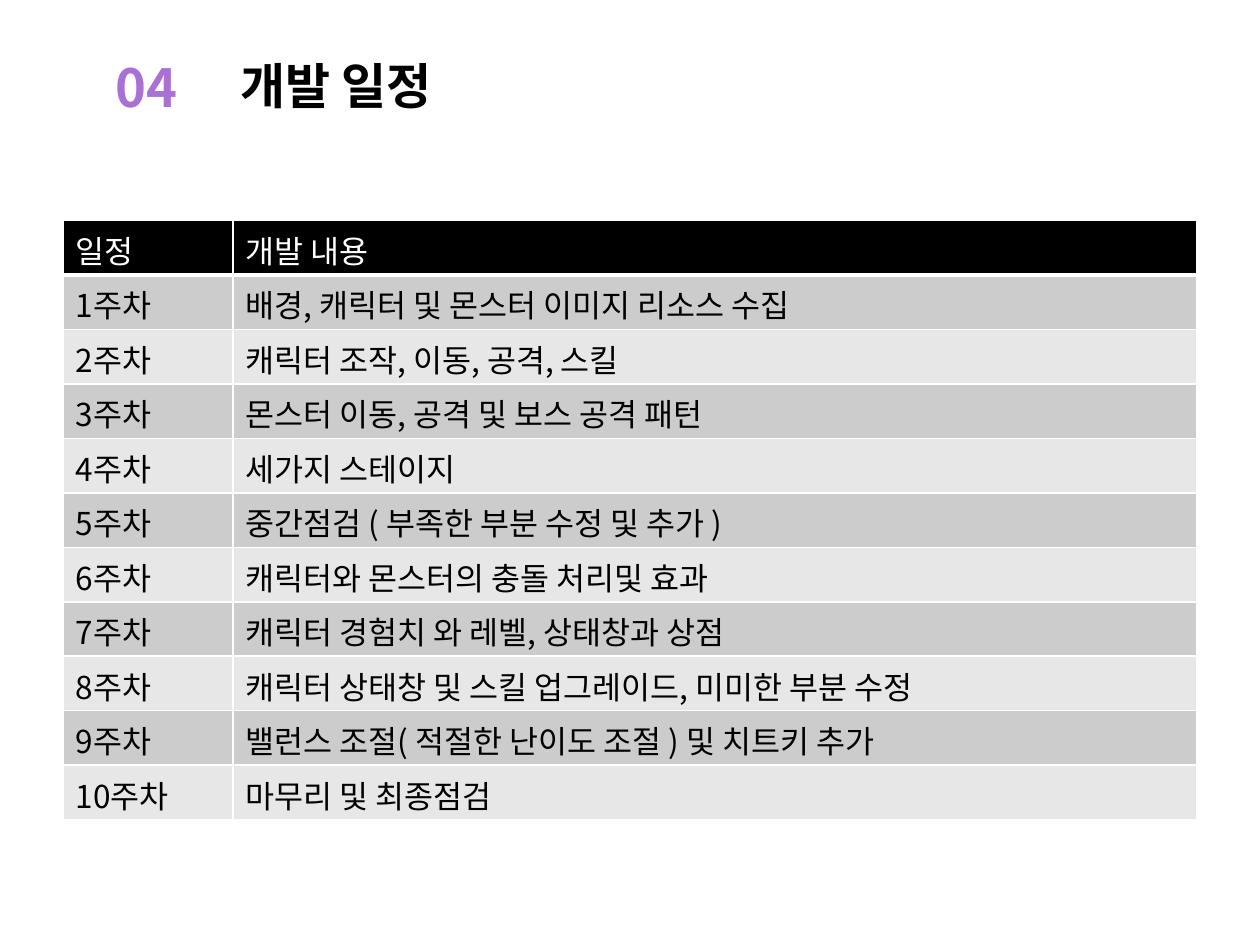
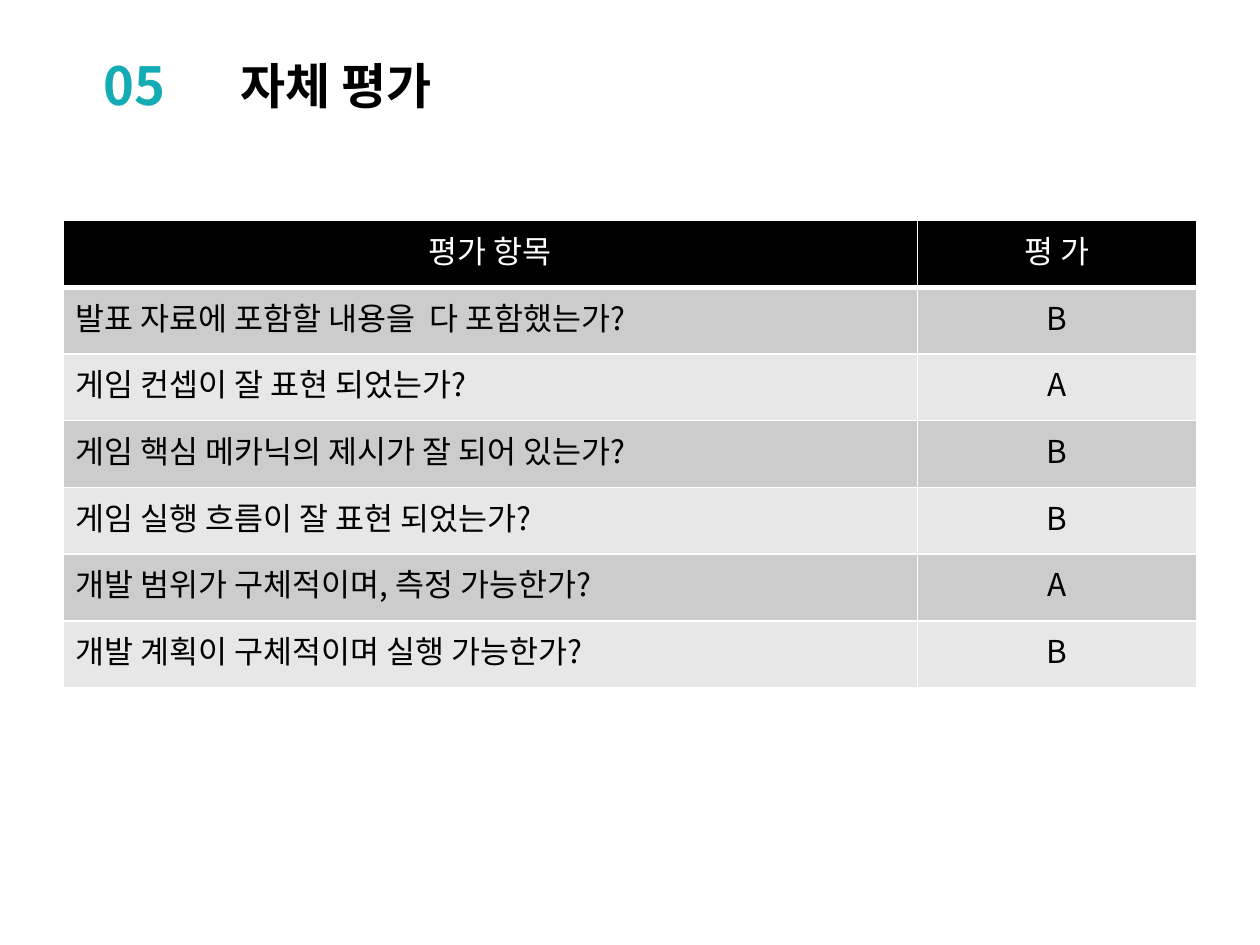
from lxml.etree import SubElement
from pptx import Presentation
from pptx.dml.color import RGBColor
from pptx.enum.text import MSO_AUTO_SIZE, PP_ALIGN
from pptx.oxml.ns import qn
from pptx.util import Pt

FONT = "Noto Sans CJK KR"
COLORS = {
    "black": "000000",
    "white": "FFFFFF",
    "dark_band": "CCCCCC",
    "light_band": "E7E7E7",
    "purple": "AA71D5",
    "teal": "14ACB4",
}
TITLE_BOX = (130.32, 28.08, 483.84, 41.04)
TABLE_LEFT, TABLE_TOP = 36, 126

SCHEDULE = [
    ("일정", "개발 내용"),
    ("1주차", "배경, 캐릭터 및 몬스터 이미지 리소스 수집"),
    ("2주차", "캐릭터 조작, 이동, 공격, 스킬"),
    ("3주차", "몬스터 이동, 공격 및 보스 공격 패턴"),
    ("4주차", "세가지 스테이지"),
    ("5주차", "중간점검 ( 부족한 부분 수정 및 추가 )"),
    ("6주차", "캐릭터와 몬스터의 충돌 처리및 효과"),
    ("7주차", "캐릭터 경험치 와 레벨, 상태창과 상점"),
    ("8주차", "캐릭터 상태창 및 스킬 업그레이드, 미미한 부분 수정"),
    ("9주차", "밸런스 조절( 적절한 난이도 조절 ) 및 치트키 추가"),
    ("10주차", "마무리 및 최종점검"),
]
EVALUATION = [
    ("평가 항목", "평 가"),
    ("발표 자료에 포함할 내용을  다 포함했는가?", "B"),
    ("게임 컨셉이 잘 표현 되었는가?", "A"),
    ("게임 핵심 메카닉의 제시가 잘 되어 있는가?", "B"),
    ("게임 실행 흐름이 잘 표현 되었는가?", "B"),
    ("개발 범위가 구체적이며, 측정 가능한가?", "A"),
    ("개발 계획이 구체적이며 실행 가능한가?", "B"),
]


def color(name):
    return RGBColor.from_string(COLORS[name])


def write(para, text, size, color_name, bold=False, align=PP_ALIGN.LEFT):
    para.alignment = align
    span = para.add_run()
    span.text = text
    span.font.size = Pt(size)
    span.font.bold = bold
    span.font.name = FONT
    span.font.color.rgb = color(color_name)
    SubElement(span._r.get_or_add_rPr(), qn("a:ea"), typeface=FONT)


def add_label(page, box, text, size, color_name, align=PP_ALIGN.LEFT):
    frame = page.shapes.add_textbox(*map(Pt, box)).text_frame
    frame.word_wrap = True
    frame.auto_size = MSO_AUTO_SIZE.SHAPE_TO_FIT_TEXT
    write(frame.paragraphs[0], text, size, color_name, True, align)


def add_heading(page, number, number_color, number_left, number_top, title):
    number_box = (number_left, number_top, 78.48, 43.92)
    add_label(page, number_box, number, 30, number_color, PP_ALIGN.CENTER)
    add_label(page, TITLE_BOX, title, 28, "black")


def add_borders(cell, bottom_width):
    properties = cell._tc.get_or_add_tcPr()
    for side, width in (("L", 1), ("R", 1), ("T", 1), ("B", bottom_width)):
        line = SubElement(properties, qn(f"a:ln{side}"), w=str(Pt(width)))
        fill = SubElement(line, qn("a:solidFill"))
        SubElement(fill, qn("a:srgbClr"), val=COLORS["white"])


def add_banded_table(page, rows, widths, row_height, centred):
    """Draw rows under a black header; centred(row, column) picks centred cells."""
    table = page.shapes.add_table(
        len(rows), len(widths), Pt(TABLE_LEFT), Pt(TABLE_TOP),
        Pt(sum(widths)), Pt(row_height * len(rows))).table
    for column, width in zip(table.columns, widths):
        column.width = Pt(width)
    for row_index, texts in enumerate(rows):
        table.rows[row_index].height = Pt(row_height)
        header = row_index == 0
        band = "black" if header else "dark_band" if row_index % 2 else "light_band"
        for column_index, text in enumerate(texts):
            cell = table.cell(row_index, column_index)
            add_borders(cell, 3 if header else 1)
            cell.fill.solid()
            cell.fill.fore_color.rgb = color(band)
            align = PP_ALIGN.CENTER if centred(row_index, column_index) else PP_ALIGN.LEFT
            write(cell.text_frame.paragraphs[0], text, 18,
                  "white" if header else "black", align=align)


def add_page(deck):
    return deck.slides.add_slide(deck.slide_layouts[6])


def add_schedule_page(deck):
    page = add_page(deck)
    add_heading(page, "04", "purple", 44.64, 28.08, "개발 일정")
    add_banded_table(page, SCHEDULE, (97.2, 550.8), 31.15, lambda row, column: False)


def add_evaluation_page(deck):
    page = add_page(deck)
    add_heading(page, "05", "teal", 37.44, 26.64, "자체 평가")
    add_banded_table(page, EVALUATION, (488.16, 159.84), 38.15,
                     lambda row, column: row == 0 or column == 1)


def main():
    deck = Presentation()
    deck.slide_width, deck.slide_height = Pt(720), Pt(540)
    add_schedule_page(deck)
    add_evaluation_page(deck)
    deck.save("out.pptx")


if __name__ == "__main__":
    main()
